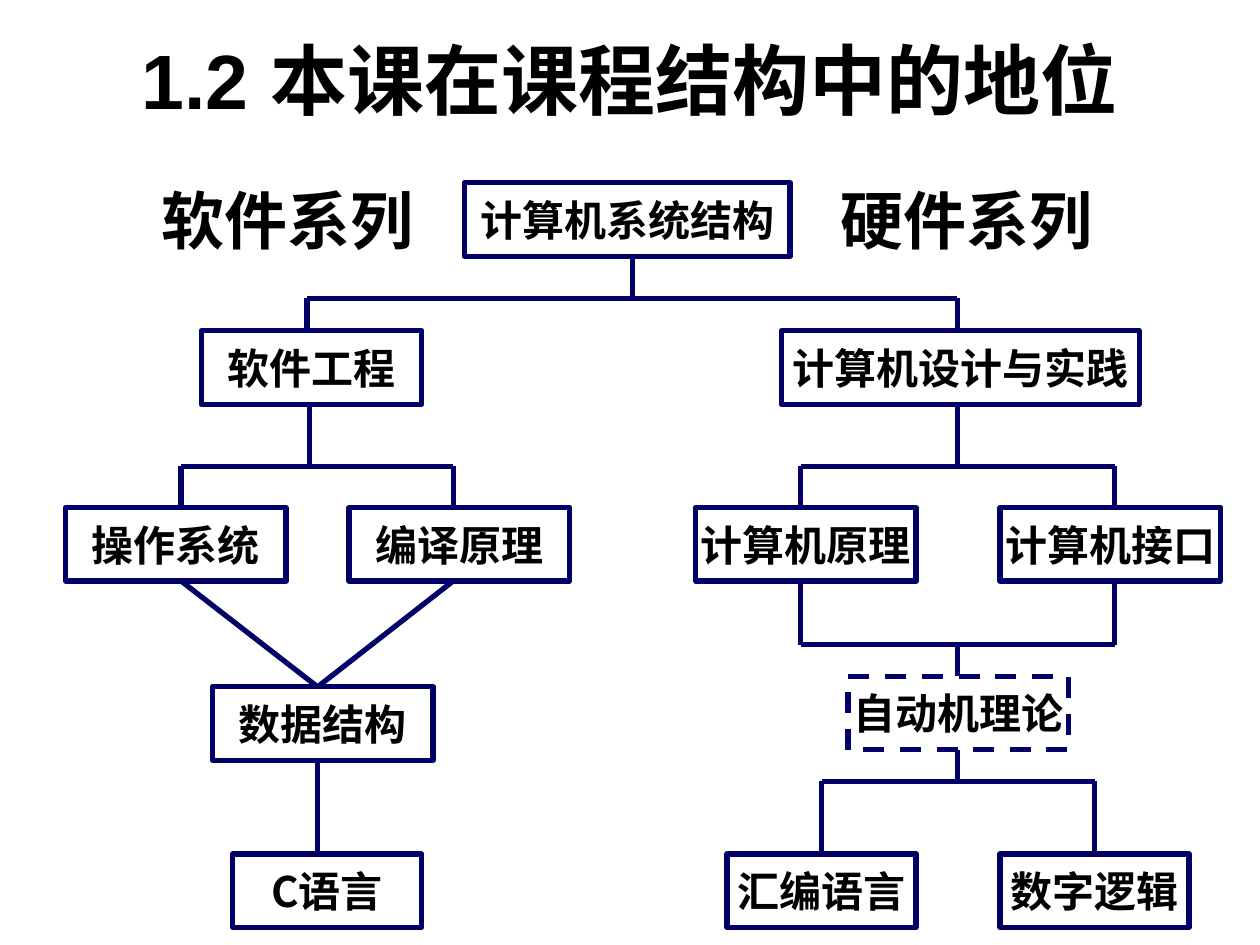
from pptx import Presentation
from pptx.dml.color import RGBColor
from pptx.enum.dml import MSO_LINE
from pptx.enum.shapes import MSO_CONNECTOR, MSO_SHAPE
from pptx.enum.text import MSO_ANCHOR, MSO_AUTO_SIZE, PP_ALIGN
from pptx.oxml.ns import qn
from pptx.util import Pt

STRAIGHT = MSO_CONNECTOR.STRAIGHT
RECTANGLE = MSO_SHAPE.RECTANGLE
DASH = MSO_LINE.DASH
MIDDLE = MSO_ANCHOR.MIDDLE
FIXED = MSO_AUTO_SIZE.NONE
GROW = MSO_AUTO_SIZE.SHAPE_TO_FIT_TEXT
CENTER = PP_ALIGN.CENTER

COLORS = {"navy": "000066", "paper": "FFFFFF", "ink": "000000"}
LATIN_FONT = "Arial"
CJK_FONT = "Noto Sans CJK SC"
COURSE_HEIGHT = 42
COURSE_WIDTH = 126
SHORT_WIDTH = 108
LINE_WIDTH = 3


def color(key):
    return RGBColor.from_string(COLORS[key])


def add_run(paragraph, wording, size, font_name=CJK_FONT):
    run = paragraph.add_run()
    run.text = wording
    run.font.size = Pt(size)
    run.font.bold = True
    run.font.name = font_name
    run.font.color.rgb = color("ink")
    properties = run._r.get_or_add_rPr()
    east_asian = properties.makeelement(qn("a:ea"), {"typeface": CJK_FONT})
    properties.find(qn("a:latin")).addnext(east_asian)


def add_course(slide, left, top, wording, width=COURSE_WIDTH, dash=None):
    course = slide.shapes.add_shape(
        RECTANGLE, Pt(left), Pt(top), Pt(width), Pt(COURSE_HEIGHT))
    course.shadow.inherit = False
    course.fill.solid()
    course.fill.fore_color.rgb = color("paper")
    course.line.color.rgb = color("navy")
    course.line.width = Pt(LINE_WIDTH)
    if dash:
        course.line.dash_style = dash
    frame = course.text_frame
    frame.word_wrap = False
    frame.vertical_anchor = MIDDLE
    frame.paragraphs[0].alignment = CENTER
    add_run(frame.paragraphs[0], wording, 24)


def add_series_label(slide, left, top, wording):
    label = slide.shapes.add_textbox(Pt(left), Pt(top), Pt(158.5), Pt(50.5))
    frame = label.text_frame
    frame.word_wrap = False
    frame.auto_size = GROW
    add_run(frame.paragraphs[0], wording, 36)


def add_link(slide, x1, y1, x2, y2):
    link = slide.shapes.add_connector(STRAIGHT, Pt(x1), Pt(y1), Pt(x2), Pt(y2))
    link.line.color.rgb = color("navy")
    link.line.width = Pt(LINE_WIDTH)
    properties = link._element.spPr
    properties.append(properties.makeelement(qn("a:effectLst"), {}))


def add_fork(slide, trunk_x, trunk_y, bus_y, branch_xs, branch_y):
    add_link(slide, trunk_x, trunk_y, trunk_x, bus_y)
    add_link(slide, branch_xs[0], bus_y, branch_xs[-1], bus_y)
    for branch_x in branch_xs:
        add_link(slide, branch_x, bus_y, branch_x, branch_y)


def add_title(slide, left, top, width, height):
    title = slide.shapes.title
    title.left, title.top = Pt(left), Pt(top)
    title.width, title.height = Pt(width), Pt(height)
    frame = title.text_frame
    frame.auto_size = FIXED
    frame.word_wrap = True
    frame.vertical_anchor = MIDDLE
    frame.paragraphs[0].alignment = CENTER
    add_run(frame.paragraphs[0], "1.2 本课在课程结构中的地位", 44, LATIN_FONT)


def add_summit(slide, left, top):
    add_fork(slide, left + 276, top + 46.5, top + 70.5,
             (left + 90, left + 461.5), top + 89)
    add_series_label(slide, left, top, "软件系列")
    add_series_label(slide, left + 387.5, top, "硬件系列")
    add_course(slide, left + 180, top + 4.5, "计算机系统结构", 186)


def add_software_series(slide, left, top):
    operating_x, compiler_x, data_x = left + 66, left + 221.5, left + 144
    add_fork(slide, left + 139.5, top + COURSE_HEIGHT, top + 77.5,
             (operating_x, compiler_x), top + 101)
    for course_x in (operating_x, compiler_x):
        add_link(slide, course_x, top + 143, data_x, top + 203.5)
    add_link(slide, data_x, top + 245.5, data_x, top + 299)

    add_course(slide, left + 77.5, top, "软件工程")
    add_course(slide, left, top + 101, "操作系统")
    add_course(slide, left + 162, top + 101, "编译原理")
    add_course(slide, left + 84, top + 203.5, "数据结构")
    add_course(slide, left + 95.5, top + 299, "C语言", SHORT_WIDTH)


def add_hardware_series(slide, left, top):
    trunk_x = left + 149.5
    core_xs = (left + 60, left + 239.5)
    base_xs = (left + 72, left + 228)
    add_fork(slide, trunk_x, top + COURSE_HEIGHT, top + 77.5, core_xs, top + 101)
    add_fork(slide, trunk_x, top + 197.5, top + 179.5, core_xs, top + 143)
    add_fork(slide, trunk_x, top + 239.5, top + 257.5, base_xs, top + 299)

    add_course(slide, left + 49, top, "计算机设计与实践", 204.5)
    add_course(slide, left, top + 101, "计算机原理")
    add_course(slide, left + 174, top + 101, "计算机接口")
    add_course(slide, left + 87, top + 197.5, "自动机理论", dash=DASH)
    add_course(slide, left + 18, top + 299, "汇编语言", SHORT_WIDTH)
    add_course(slide, left + 174, top + 299, "数字逻辑", SHORT_WIDTH)


def main():
    presentation = Presentation()
    presentation.slide_width = Pt(720)
    presentation.slide_height = Pt(540)
    slide = presentation.slides.add_slide(presentation.slide_layouts[5])
    slide.background.fill.solid()
    slide.background.fill.fore_color.rgb = color("paper")
    add_title(slide, 36, 0, 648, 90)
    add_summit(slide, 85.5, 100)
    add_software_series(slide, 37.5, 189)
    add_hardware_series(slide, 397.5, 189)
    presentation.save("out.pptx")


if __name__ == "__main__":
    main()
